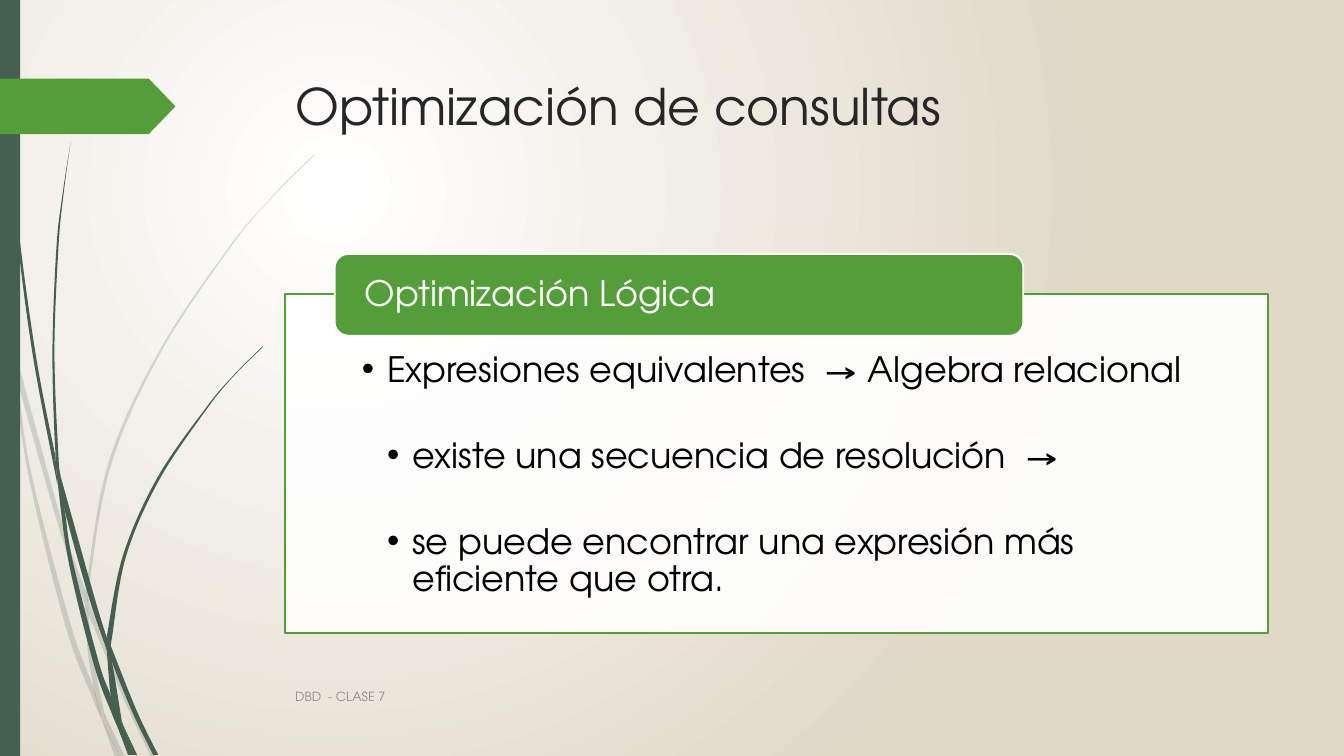
"""Build a slide on query optimisation with a framed list and a grass motif."""
from lxml.etree import SubElement
from pptx import Presentation
from pptx.dml.color import RGBColor
from pptx.enum.shapes import MSO_SHAPE
from pptx.enum.text import MSO_ANCHOR, MSO_AUTO_SIZE, PP_ALIGN
from pptx.oxml.ns import qn
from pptx.util import Pt

PX = 9144
FONT = "TeX Gyre Adventor"
WHITE = RGBColor(0xFF, 0xFF, 0xFF)
SAND = RGBColor(0xE0, 0xD9, 0xC8)
PINE = RGBColor(0x45, 0x5F, 0x51)
GREEN = RGBColor(0x54, 0x9E, 0x39)
INK = RGBColor(0x26, 0x26, 0x26)
BLACK = RGBColor(0, 0, 0)
GREY = RGBColor(0x8C, 0x8C, 0x8C)

PALE = [
    ([(11, 350), (9, 322), (0, 282)], [(0, 299), (10, 344), (11, 350)]),
    ([(14, 345), (62, 520), (85, 586)], [(84, 599), (58, 522), (17, 376), (14, 345)]),
    ([(88, 596), (92, 607), (127, 692), (155, 751)], [(150, 751), (123, 694), (88, 610)]),
    ([(105, 711), (124, 751)], [(119, 751), (105, 711)]),
    ([(11, 350), (17, 376), (31, 469), (70, 619), (93, 683), (101, 714)],
     [(101, 714), (92, 693), (65, 621), (28, 470), (11, 350)]),
    ([(84, 599), (88, 610), (91, 646), (103, 706), (105, 711)],
     [(96, 692), (93, 683), (87, 646), (84, 599)]),
    ([(312, 153), (289, 175), (268, 197), (228, 244), (158, 348), (107, 461), (85, 586)],
     [(88, 596), (88, 584), (110, 462), (160, 349), (229, 245), (268, 198), (312, 154)]),
    ([(101, 714), (114, 751)], [(119, 751), (101, 714)]),
    ([(84, 599), (88, 610)], [(88, 596), (85, 586), (84, 599)]),
    ([(93, 683), (96, 692), (105, 711), (119, 751)], [(119, 751), (101, 714), (93, 683)]),
]
DARK = [
    ([(3, 0), (4, 48), (7, 110), (17, 233), (33, 355), (57, 481)],
     [(55, 453), (36, 355), (19, 232), (8, 109), (5, 48), (4, 0)]),
    ([(60, 472), (93, 590), (106, 633)], [(106, 645), (88, 592), (64, 505), (60, 472)]),
    ([(110, 641), (136, 706), (157, 749)], [(152, 749), (132, 708), (111, 656), (110, 641)]),
    ([(57, 477), (64, 505), (72, 556), (98, 657), (110, 691), (117, 722)],
     [(117, 722), (111, 708), (93, 659), (68, 557), (57, 477)]),
    ([(70, 141), (62, 193), (56, 245), (52, 349), (55, 449), (60, 472)],
     [(60, 472), (58, 453), (54, 349), (58, 245), (63, 193), (70, 141)]),
    ([(122, 719), (136, 749)], [(133, 749), (122, 719)]),
    ([(55, 449), (60, 472)], [(64, 505), (57, 477), (55, 449)]),
    ([(260, 344), (231, 373), (204, 405), (156, 474), (122, 551), (106, 631)],
     [(110, 641), (111, 633), (125, 552), (158, 476), (205, 406), (231, 374), (261, 344)]),
    ([(117, 722), (131, 749)], [(127, 749), (117, 722)]),
    ([(106, 645), (111, 656), (121, 716), (122, 719)], [(116, 706), (110, 691), (106, 645)]),
    ([(106, 633), (106, 631), (110, 641)], [(111, 656), (106, 645), (106, 633)]),
    ([(110, 691), (122, 719), (133, 749)], [(130, 749), (117, 722), (110, 691)]),
]
ITEMS = [
    ("Expresiones equivalentes  → Algebra relacional", 0),
    ("existe una secuencia de resolución  →", 1),
    ("se puede encontrar una expresión más eficiente que otra.", 1),
]


def paint(shape, fill, alpha=100, line=None):
    """Set fill, opacity in percent and outline."""
    shape.fill.solid()
    shape.fill.fore_color.rgb = fill
    if alpha < 100:
        tint = shape.fill._xPr.find(qn("a:solidFill"))[0]
        SubElement(tint, qn("a:alpha"), val=str(alpha * 1000))
    if line is None:
        shape.line.fill.background()
    else:
        shape.line.color.rgb = line
        shape.line.width = Pt(1.25)


def frame(shape, anchor, left=10, top=5, right=10, base=5):
    """Set the anchor and insets of a text frame and return it."""
    text = shape.text_frame
    text.word_wrap = True
    text.auto_size = MSO_AUTO_SIZE.NONE
    text.vertical_anchor = anchor
    text.margin_left, text.margin_right = left * PX, right * PX
    text.margin_top, text.margin_bottom = top * PX, base * PX
    return text


def write(para, text, size, color, pitch=1.0, before=0):
    """Write one left-aligned paragraph."""
    para.alignment = PP_ALIGN.LEFT
    para.line_spacing = pitch
    para.space_before, para.space_after = Pt(before), Pt(0)
    run = para.add_run()
    run.text = text
    run.font.name, run.font.size = FONT, Pt(size)
    run.font.color.rgb = color


def dot(para, level):
    """Give a paragraph a bullet and a hanging indent."""
    para.level = level
    props = para._p.get_or_add_pPr()
    props.set("marL", str(25 * (level + 1) * PX))
    props.set("indent", str(-25 * PX))
    SubElement(props, qn("a:buChar"), char="•")


def bend(edge):
    """Return the two handles of each curve along an edge."""
    ends = [edge[0], *edge, edge[-1]]
    return [([q + (r - p) / 6 for p, q, r in zip(a, b, c)],
             [r - (s - q) / 6 for q, r, s in zip(b, c, d)])
            for a, b, c, d in zip(ends, ends[1:], ends[2:], ends[3:])]


def blade(slide, left, right, alpha):
    """Draw one piece of grass between two curved edges."""
    outline = [(x * PX, y * PX) for x, y in left + right]
    pen = slide.shapes.build_freeform(*outline[0], scale=1.0)
    pen.add_line_segments(outline[1:], close=True)
    shape = pen.convert_to_shape()
    shape.shadow.inherit = False
    paint(shape, PINE, alpha)
    lines = list(shape.element.iter(qn("a:lnTo")))
    for line, pair in zip(lines, [*bend(left), None, *bend(right)]):
        if pair:
            line.tag = qn("a:cubicBezTo")
            for spot, (x, y) in enumerate(pair):
                point = SubElement(line, qn("a:pt"), x=str(round(x * PX) - shape.left),
                                   y=str(round(y * PX) - shape.top))
                line.insert(spot, point)


def block(slide, kind, box, fill, alpha=100, line=None):
    """Add a plain preset shape."""
    shape = slide.shapes.add_shape(kind, *(n * PX for n in box))
    shape.shadow.inherit = False
    paint(shape, fill, alpha, line)
    return shape


def label(slide, box, text, size, color, inset, pitch=1.0):
    """Add a one-line text box centred on its height."""
    shape = slide.shapes.add_textbox(*(n * PX for n in box))
    area = frame(shape, MSO_ANCHOR.MIDDLE, inset, 0, inset, 0)
    write(area.paragraphs[0], text, size, color, pitch)


def glow(slide):
    """Fill the background with a radial gradient."""
    fill = slide.background.fill
    fill.gradient()
    for stop, color in zip(fill.gradient_stops, (WHITE, SAND)):
        stop.color.rgb = color
    line = next(slide.element.iter(qn("a:lin")))
    grad = line.getparent()
    grad.remove(line)
    ring = SubElement(grad, qn("a:path"), path="circle")
    SubElement(ring, qn("a:fillToRect"), l="50000", t="50000", r="100000", b="100000")


def main():
    """Build and save the slide."""
    deck = Presentation()
    deck.slide_width, deck.slide_height = 1333 * PX, 750 * PX
    slide = deck.slides.add_slide(deck.slide_layouts[1])
    glow(slide)
    for blades, alpha in ((PALE, 20), (DARK, 100)):
        for left, right in blades:
            blade(slide, left, right, alpha)
    block(slide, MSO_SHAPE.RECTANGLE, (0, 0, 20, 750), PINE)
    flag = block(slide, MSO_SHAPE.PENTAGON, (0, 78, 174, 55), GREEN)
    flag.adjustments[0] = 0.48
    card = (283, 292, 975, 336)
    block(slide, MSO_SHAPE.RECTANGLE, card, WHITE, 90, GREEN)

    title, body = slide.placeholders
    for shape, box in ((title, (283, 69, 975, 140)), (body, card)):
        shape.left, shape.top, shape.width, shape.height = (n * PX for n in box)
        shape.element.getparent().append(shape.element)
    text = frame(title, MSO_ANCHOR.TOP)
    write(text.paragraphs[0], "Optimización de consultas", 36, INK)
    text = frame(body, MSO_ANCHOR.TOP, 76, 57, 76, 19)
    for rank, (item, level) in enumerate(ITEMS):
        para = text.add_paragraph() if rank else text.paragraphs[0]
        dot(para, level)
        write(para, item, 25, BLACK, 0.9, 34.5 if rank else 0)

    block(slide, MSO_SHAPE.ROUNDED_RECTANGLE, (332, 252, 683, 81), GREEN, line=WHITE)
    label(slide, (336, 256, 675, 73), "Optimización Lógica", 25, WHITE, 26, 0.9)
    label(slide, (283, 671, 833, 40), "DBD  - CLASE 7", 9, GREY, 10)
    deck.save("out.pptx")


if __name__ == "__main__":
    main()
